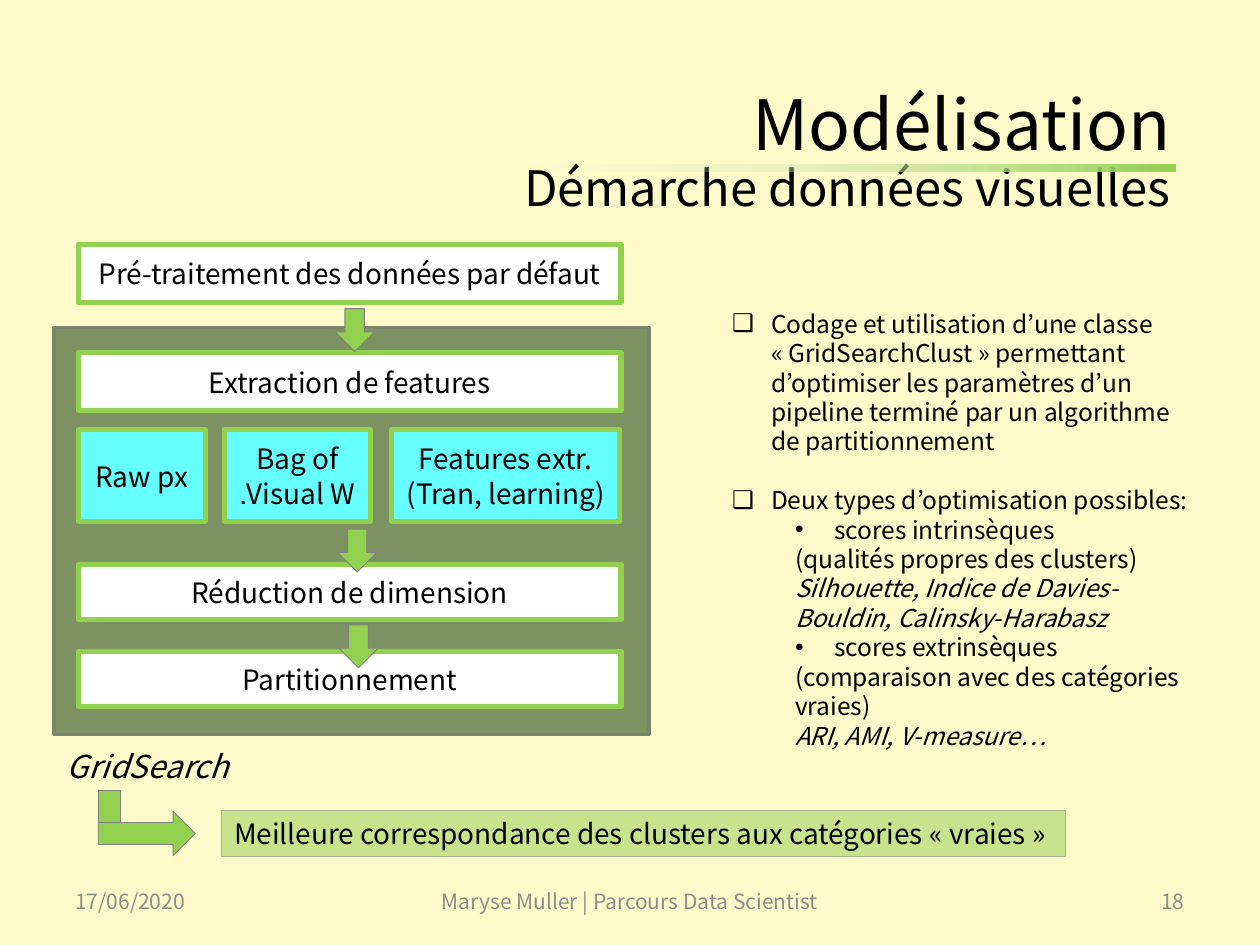
from pptx import Presentation
from pptx.dml.color import RGBColor
from pptx.enum.shapes import MSO_SHAPE
from pptx.enum.text import MSO_ANCHOR, PP_ALIGN
from pptx.oxml.ns import qn
from pptx.util import Inches, Pt
from lxml import etree

RECT, DOWN, RIGHT = MSO_SHAPE.RECTANGLE, MSO_SHAPE.DOWN_ARROW, MSO_SHAPE.RIGHT_ARROW
TOP, MIDDLE = MSO_ANCHOR.TOP, MSO_ANCHOR.MIDDLE
LEFT, CENTER, END = PP_ALIGN.LEFT, PP_ALIGN.CENTER, PP_ALIGN.RIGHT
FONT = "Noto Sans CJK JP"
CREAM = RGBColor(0xFE, 0xFA, 0xC9)
BLACK = RGBColor(0, 0, 0)
WHITE = RGBColor(0xFF, 0xFF, 0xFF)
GREEN = RGBColor(0x92, 0xD0, 0x50)
CYAN = RGBColor(0x66, 0xFF, 0xFF)
OLIVE = RGBColor(0x7D, 0x92, 0x63)
OLIVE_EDGE = RGBColor(0x7A, 0x86, 0x6C)
SAGE = RGBColor(0xA5, 0xB5, 0x92)
PALE = RGBColor(0xEE, 0xF2, 0xEA)
GRAY = RGBColor(0x80, 0x80, 0x80)
FOOTER_GRAY = RGBColor(0x8C, 0x8C, 0x8C)


def add_text(p, text, size=16, color=BLACK, italic=False, align=LEFT, spacing=None):
    """Append a formatted run to a paragraph."""
    p.alignment = align
    if spacing:
        p.line_spacing = spacing
    r = p.add_run()
    r.text = text
    r.font.name, r.font.size = FONT, Pt(size)
    r.font.color.rgb, r.font.italic = color, italic
    return r


def add_box(s, box, fill, line=None, width=0.5, shape=RECT):
    """Add a preset shape with a flat fill and an optional outline."""
    sp = s.shapes.add_shape(shape, *map(Inches, box))
    sp.shadow.inherit = False
    sp.fill.solid()
    sp.fill.fore_color.rgb = fill
    if line is None:
        sp.line.fill.background()
    else:
        sp.line.color.rgb, sp.line.width = line, Pt(width)
    return sp


def add_label(s, box, text, anchor=MIDDLE, wrap=True, **fmt):
    """Add a text box holding one line."""
    tf = s.shapes.add_textbox(*map(Inches, box)).text_frame
    tf.word_wrap, tf.vertical_anchor = wrap, anchor
    add_text(tf.paragraphs[0], text, **fmt)


def add_step(s, box, text, fill=WHITE):
    """Add a green-edged step of the pipeline."""
    sp = add_box(s, box, fill, GREEN, 3)
    sp.text_frame.word_wrap, sp.text_frame.vertical_anchor = True, MIDDLE
    p = sp.text_frame.paragraphs[0]
    add_text(p, text, align=CENTER, spacing=Pt(19.5))
    return p


def set_alpha(color_format_parent, percent):
    """Make the colour inside a fill element partly transparent."""
    clr = color_format_parent.find(".//" + qn("a:srgbClr"))
    etree.SubElement(clr, qn("a:alpha")).set("val", str(percent * 1000))


def place(sp, box):
    """Move a placeholder to a box."""
    sp.left, sp.top, sp.width, sp.height = map(Inches, box)


def build_title(s, box):
    """Fill the two-line title and underline its first line."""
    x, y, w, h = box
    bar = add_box(s, (x + 2.98, y + 0.67, 5.15, 0.05), GREEN)
    bar.fill.gradient()
    bar.fill.gradient_angle = 180
    for stop, color, position in zip(bar.fill.gradient_stops, (GREEN, PALE), (0, 1)):
        stop.color.rgb, stop.position = color, position
    set_alpha(bar.element.spPr.findall(".//" + qn("a:gs"))[-1], 0)
    place(s.shapes.title, box)
    tf = s.shapes.title.text_frame
    tf.word_wrap, tf.vertical_anchor = True, MIDDLE
    p = tf.paragraphs[0]
    add_text(p, "Modélisation", size=39.6, align=END, spacing=0.88)
    p.add_line_break()
    add_text(p, "Démarche données visuelles", size=27.9, align=END, spacing=0.88)


def build_pipeline(s, box):
    """Draw the grid search panel with its steps and arrows."""
    x, y, w, h = box
    add_box(s, box, OLIVE, OLIVE_EDGE, 2)
    left, wide = x + 0.19, 4.31
    for dy, height, text in (
        (-0.66, 0.46, "Pré-traitement des données par défaut"),
        (0.2, 0.46, "Extraction de features"),
        (1.88, 0.44, "Réduction de dimension"),
        (2.57, 0.44, "Partitionnement"),
    ):
        add_step(s, (left, y + dy, wide, height), text)
    for dx, width, text in (
        (0, 1.01, "Raw px"),
        (1.16, 1.16, "Bag of Visual W. "),
        (2.49, 1.81, "Features extr. (Tran, learning)"),
    ):
        p = add_step(s, (left + dx, y + 0.81, width, 0.73), text, CYAN)
        if text.startswith("Bag"):
            p._p.get_or_add_pPr().set("rtl", "1")
    for dx, dy in ((2.23, -0.15), (2.25, 1.6), (2.26, 2.36)):
        add_box(s, (x + dx, y + dy, 0.31, 0.34), GREEN, GRAY, shape=DOWN)
    add_label(s, (x, y + h + 0.05, 1.5, 0.4), "GridSearch", TOP, False, size=18, italic=True)


def build_list(body, box):
    """Fill the body placeholder with the notes on optimisation."""
    place(body, box)
    tf = body.text_frame
    tf.word_wrap, tf.vertical_anchor = True, TOP
    items = (
        ("❑", "Codage et utilisation d’une classe «\u00a0GridSearchClust\u00a0» permettant "
              "d’optimiser les paramètres d’un pipeline terminé par un algorithme de partitionnement"),
        ("❑", "Deux types d’optimisation possibles:"),
        ("•", "scores intrinsèques"),
        ("", "(qualités propres des clusters)"),
        ("i", "Silhouette, Indice de Davies-Bouldin, Calinsky-Harabasz"),
        ("•", "scores extrinsèques"),
        ("", "(comparaison avec des catégories vraies)"),
        ("i", "ARI, AMI, V-measure…"),
    )
    indents = {"❑": (0.31, -0.31), "•": (0.81, -0.31)}
    for i, (kind, text) in enumerate(items):
        p = tf.add_paragraph() if i else tf.paragraphs[0]
        p.level = 0 if kind == "❑" else 1
        p.space_before = Pt(16.8 if i == 1 else 0)
        add_text(p, text, size=14, italic=kind == "i", spacing=Pt(16.8))
        pPr = p._p.get_or_add_pPr()
        margin, indent = indents.get(kind, (0.5, 0))
        pPr.set("marL", str(Inches(margin)))
        pPr.set("indent", str(Inches(indent)))
        if kind in indents:
            etree.SubElement(pPr, qn("a:buChar")).set("char", kind)
        else:
            etree.SubElement(pPr, qn("a:buNone"))


def build_result(s, box):
    """Draw the elbow arrow and the outcome strip."""
    x, y, w, h = box
    add_box(s, (x, y, 0.18, 0.42), GREEN, GRAY)
    add_box(s, (x, y + 0.17, 0.77, 0.35), GREEN, GRAY, shape=RIGHT)
    strip = add_box(s, (x + 0.98, y + 0.16, w - 0.98, 0.37), GREEN, SAGE)
    set_alpha(strip.element.spPr.find(qn("a:solidFill")), 50)
    strip.text_frame.word_wrap, strip.text_frame.vertical_anchor = True, TOP
    add_text(strip.text_frame.paragraphs[0],
             "Meilleure correspondance des clusters aux catégories «\u00a0vraies\u00a0»",
             spacing=Pt(19.5))


def build_footer(s, box):
    """Write date, author and page number along the bottom."""
    x, y, w, h = box
    for dx, width, text, align in (
        (0, 2.33, "17/06/2020", LEFT),
        (2.65, 3.7, "Maryse Muller | Parcours Data Scientist", CENTER),
        (w - 2.33, 2.33, "18", END),
    ):
        add_label(s, (x + dx, y, width, h), text, size=12, color=FOOTER_GRAY, align=align)


def main():
    """Build and save the slide."""
    prs = Presentation()
    prs.slide_width, prs.slide_height = Inches(10), Inches(7.5)
    s = prs.slides.add_slide(prs.slide_layouts[1])
    s.background.fill.solid()
    s.background.fill.fore_color.rgb = CREAM
    build_title(s, (1.2, 0.64, 8.19, 1.17))
    build_pipeline(s, (0.43, 2.6, 4.72, 3.23))
    build_list(s.placeholders[1], (5.71, 2.4, 3.94, 3.64))
    build_result(s, (0.78, 6.27, 7.68, 0.53))
    build_footer(s, (0.5, 6.95, 9, 0.4))
    prs.save("out.pptx")


if __name__ == "__main__":
    main()
